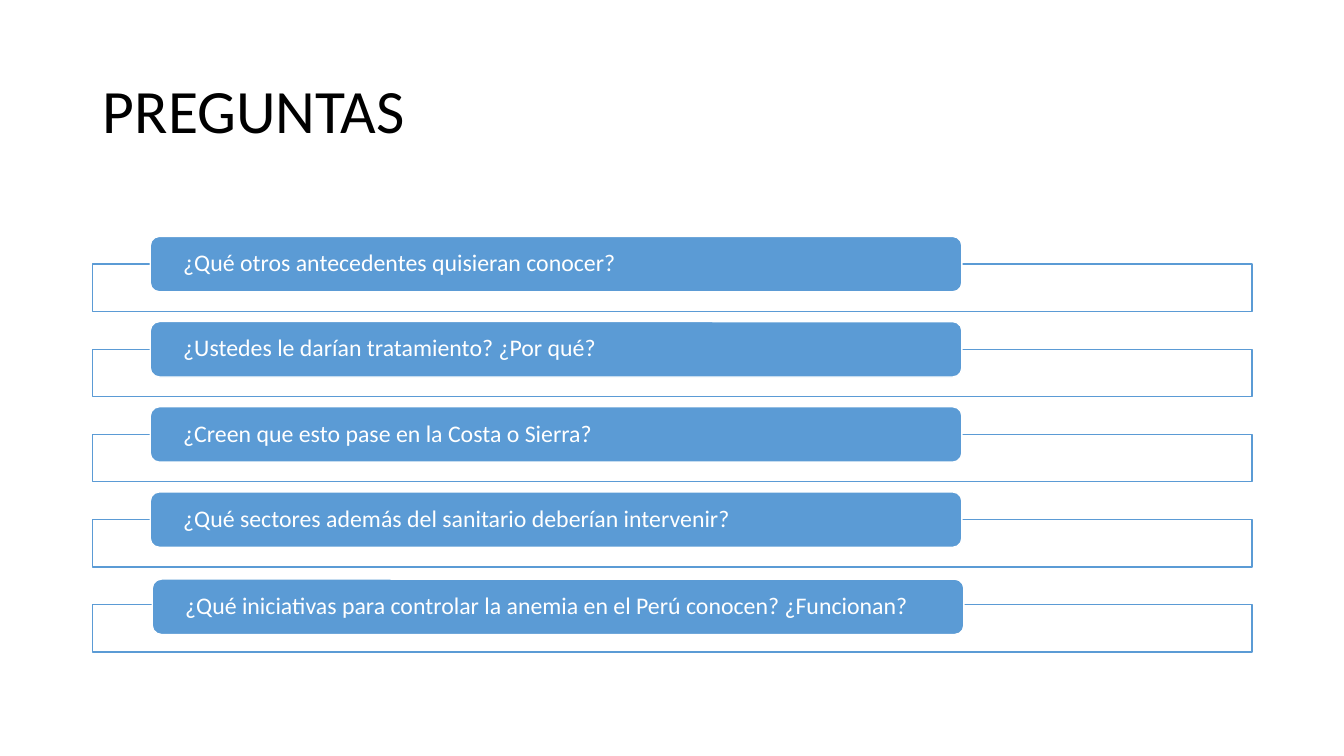
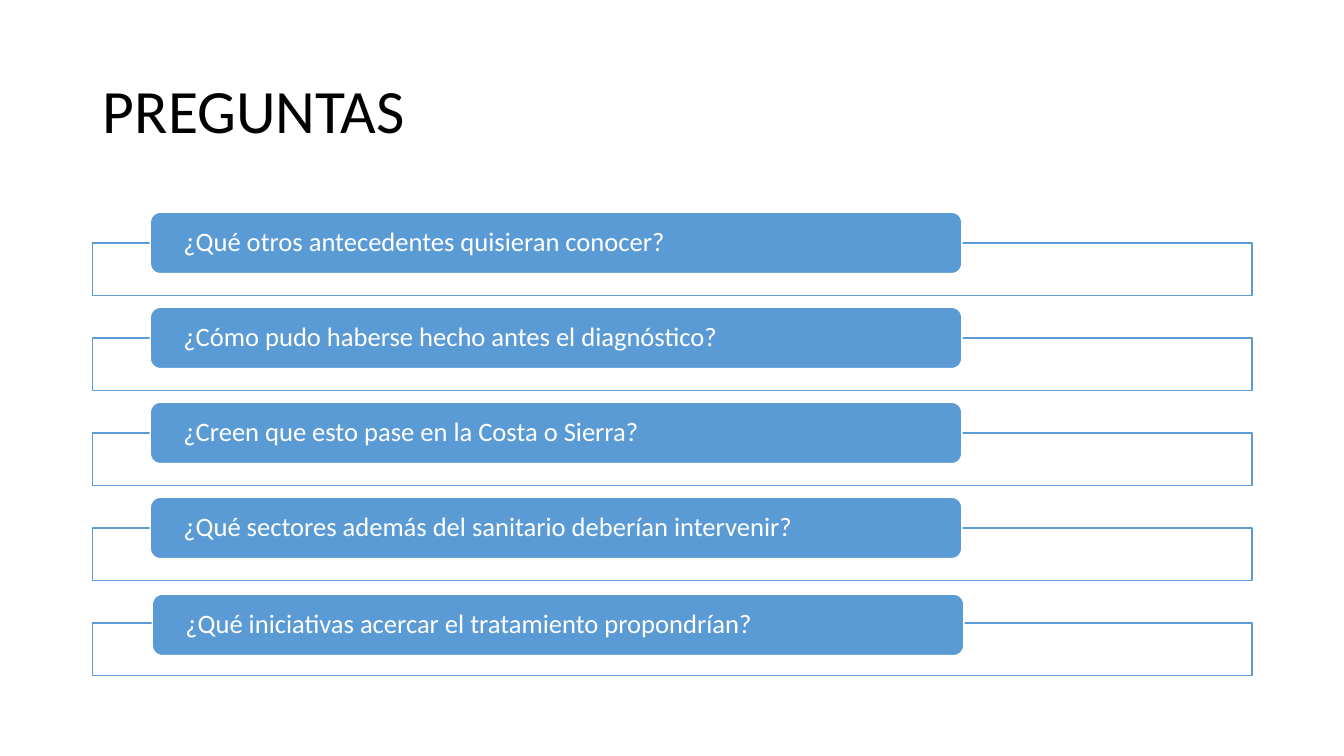
from lxml.etree import SubElement
from pptx import Presentation
from pptx.dml.color import RGBColor
from pptx.enum.shapes import MSO_SHAPE
from pptx.enum.text import MSO_ANCHOR, MSO_AUTO_SIZE, PP_ALIGN
from pptx.oxml.ns import qn
from pptx.util import Inches, Pt

COLORS = {"text": "000000", "accent": "5B9BD5", "paper": "FFFFFF"}
FONT = "Calibri"
LEFT, WIDTH = 0.92, 11.5
PILL_INDENT, PILL_WIDTH = 0.57, 8.05
LAST_NUDGE = 0.02

QUESTION_SLIDES = [
    {
        "top": 2.62, "pitch": 0.845, "frame_height": 0.47, "pill_height": 0.55, "size": 17,
        "questions": [
            "¿Qué otros antecedentes quisieran conocer?",
            "¿Ustedes le darían tratamiento? ¿Por qué?",
            "¿Creen que esto pase en la Costa o Sierra?",
            "¿Qué sectores además del sanitario deberían intervenir?",
            "¿Qué iniciativas para controlar la anemia en el Perú conocen? ¿Funcionan?",
        ],
    },
    {
        "top": 2.41, "pitch": 0.9425, "frame_height": 0.52, "pill_height": 0.61, "size": 19,
        "questions": [
            "¿Qué otros antecedentes quisieran conocer?",
            "¿Cómo pudo haberse hecho antes el diagnóstico?",
            "¿Creen que esto pase en la Costa o Sierra?",
            "¿Qué sectores además del sanitario deberían intervenir?",
            "¿Qué iniciativas acercar el tratamiento propondrían?",
        ],
    },
]


def color(name):
    return RGBColor.from_string(COLORS[name])


def write(shape, text, size, color_name):
    frame = shape.text_frame
    frame.text = text
    frame.word_wrap = True
    frame.auto_size = MSO_AUTO_SIZE.NONE
    frame.vertical_anchor = MSO_ANCHOR.MIDDLE
    paragraph = frame.paragraphs[0]
    paragraph.alignment = PP_ALIGN.LEFT
    paragraph.line_spacing = 0.9
    font = paragraph.runs[0].font
    font.name = FONT
    font.size = Pt(size)
    font.color.rgb = color(color_name)


def add_box(slide, preset, left, top, width, height, fill, line):
    box = slide.shapes.add_shape(
        preset, Inches(left), Inches(top), Inches(width), Inches(height))
    box.shadow.inherit = False
    box.fill.solid()
    box.fill.fore_color.rgb = color(fill)
    box.line.color.rgb = color(line)
    box.line.width = Pt(1)
    return box


def add_title(slide, text):
    title = slide.shapes.title
    title.left, title.top = Inches(LEFT), Inches(0.4)
    title.width, title.height = Inches(WIDTH), Inches(1.45)
    write(title, text, 44, "text")


def add_question(slide, text, top, nudge, frame_height, pill_height, size):
    frame = add_box(slide, MSO_SHAPE.RECTANGLE, LEFT, top, WIDTH, frame_height,
                    "paper", "accent")
    fill_color = frame.fill._xPr.find(qn("a:solidFill"))[0]
    SubElement(fill_color, qn("a:alpha")).set("val", "90000")
    pill = add_box(slide, MSO_SHAPE.ROUNDED_RECTANGLE, LEFT + PILL_INDENT + nudge,
                   top - pill_height / 2 + nudge, PILL_WIDTH, pill_height,
                   "accent", "paper")
    write(pill, text, size, "paper")
    inner = pill.text_frame
    inner.margin_left = inner.margin_right = Inches(0.3)
    inner.margin_top = inner.margin_bottom = 0


def add_questions_slide(deck, top, pitch, frame_height, pill_height, size, questions):
    slide = deck.slides.add_slide(deck.slide_layouts[5])
    add_title(slide, "PREGUNTAS")
    for row, question in enumerate(questions):
        nudge = LAST_NUDGE if row == len(questions) - 1 else 0
        add_question(slide, question, top + row * pitch, nudge,
                     frame_height, pill_height, size)


def main():
    deck = Presentation()
    deck.slide_width, deck.slide_height = Inches(13.33), Inches(7.5)
    for content in QUESTION_SLIDES:
        add_questions_slide(deck, **content)
    deck.save("out.pptx")


if __name__ == "__main__":
    main()
